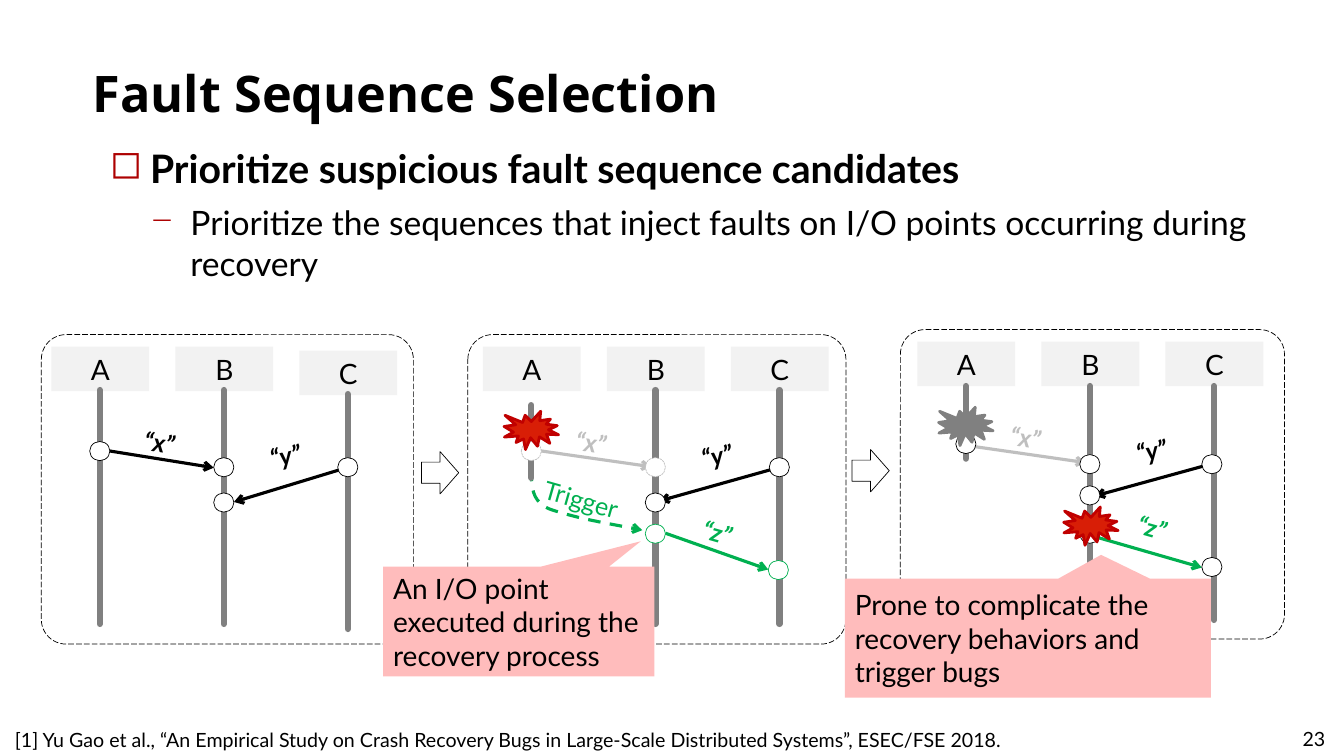
"""Build the fault sequence selection slide with its three message diagrams."""
from dataclasses import dataclass
from typing import NamedTuple, Optional

from lxml import etree
from pptx import Presentation
from pptx import util as u
from pptx.dml.color import RGBColor
from pptx.enum import dml, shapes, text
from pptx.oxml import ns


@dataclass(frozen=True)
class Theme:
    black: str = "000000"
    white: str = "FFFFFF"
    header: str = "F2F2F2"
    lane: str = "808080"
    faded: str = "BFBFBF"
    green: str = "00B050"
    bullet: str = "AD0101"
    callout: str = "FFBCBC"
    crash: str = "D81E06"
    crash_edge: str = "C00000"
    title_font: str = "Open Sans"
    font: str = "Lato"
    title: int = 36
    heading: int = 28
    body: int = 24
    diagram: int = 20
    label: int = 18
    note: int = 14


THEME = Theme()
KIND = shapes.MSO_SHAPE
DASH = dml.MSO_LINE
LANE_GAP = 1.23
Point = tuple[float, float]


class Box(NamedTuple):
    left: float
    top: float
    width: float
    height: float


class Lane(NamedTuple):
    name: str
    start: float
    end: float
    shift: float = 0


class Message(NamedTuple):
    name: str
    start: Point
    end: Point
    label: Point
    angle: int
    color: str = THEME.black


class Event(NamedTuple):
    x: float
    y: float
    color: str = THEME.black
    dash: Optional[DASH] = None


class Crash(NamedTuple):
    x: float
    y: float
    fill: str = THEME.crash
    edge: str = THEME.crash_edge


@dataclass(frozen=True)
class Panel:
    """One diagram whose parts are placed relative to lane A and the frame top."""
    lane_a: float
    frame: Box
    lanes: list[Lane]
    messages: list[Message]
    events: list[Event]
    crashes: list[Crash]


X_LABEL, Y_LABEL, Z_LABEL = (0.34, 0.87), (1.59, 1.0), (1.6, 1.77)
PANELS = [
    Panel(0.99, Box(0.41, 3.32, 3.69, 3.07),
          [Lane("A", 0.55, 2.87), Lane("B", 0.55, 2.87), Lane("C", 0.59, 2.92, 0.04)],
          [Message("“x”", (0.01, 1.14), (1.13, 1.32), X_LABEL, 8),
           Message("“y”", (2.48, 1.31), (1.33, 1.66), Y_LABEL, -12)],
          [Event(0, 1.15), Event(1.23, 1.31), Event(2.46, 1.31), Event(1.23, 1.66)], []),
    Panel(5.27, Box(4.64, 3.32, 3.75, 3.07),
          [Lane("A", 0.7, 1.42), Lane("B", 0.55, 2.87), Lane("C", 0.55, 2.87)],
          [Message("“x”", (0, 1.14), (1.19, 1.31), X_LABEL, 8, THEME.faded),
           Message("“y”", (2.48, 1.31), (1.27, 1.65), Y_LABEL, -12),
           Message("“z”", (1.33, 1.97), (2.35, 2.33), Z_LABEL, 16, THEME.green)],
          [Event(0, 1.15, THEME.faded, DASH.SQUARE_DOT),
           Event(1.23, 1.31, THEME.faded, DASH.SQUARE_DOT),
           Event(1.23, 1.66), Event(2.46, 1.31),
           Event(1.23, 1.97, THEME.green), Event(2.45, 2.33, THEME.green)],
          [Crash(0, 0.95)]),
    Panel(9.58, Box(8.93, 3.27, 3.81, 3.07),
          [Lane("A", 0.56, 1.28), Lane("B", 0.56, 2.88), Lane("C", 0.56, 2.88)],
          [Message("“x”", (0.01, 1.15), (1.19, 1.32), X_LABEL, 8, THEME.faded),
           Message("“y”", (2.48, 1.32), (1.28, 1.65), Y_LABEL, -12),
           Message("“z”", (1.23, 2.04), (2.34, 2.36), Z_LABEL, 16, THEME.green)],
          [Event(0, 1.13), Event(1.23, 1.33), Event(1.23, 1.64), Event(2.44, 1.33),
           Event(2.44, 2.35), Event(1.23, 2.02)],
          [Crash(0, 0.96, THEME.lane, THEME.lane), Crash(1.24, 1.95)]),
]
TRIGGER_CURVE = [
    ((5.27, 4.65), (5.27, 4.71), (5.26, 4.87), (5.33, 4.96)),
    ((5.33, 4.96), (5.41, 5.05), (5.44, 5.05), (5.65, 5.11)),
    ((5.65, 5.11), (5.86, 5.17), (6.24, 5.23), (6.37, 5.26)),
]


def emu(box: Box) -> list[int]:
    return [u.Inches(length) for length in box]


def style_line(shape, color: str, width: float, dash=None, arrow: bool = False) -> None:
    shape.line.color.rgb = RGBColor.from_string(color)
    shape.line.width = u.Pt(width)
    if dash is not None:
        shape.line.dash_style = dash
    if arrow:
        line = shape._element.spPr.find(ns.qn("a:ln"))
        etree.SubElement(line, ns.qn("a:tailEnd"), type="arrow")


def format_text(paragraph, size: int, color=THEME.black, bold=False, italic=False,
                font=THEME.font) -> None:
    for run in paragraph.runs:
        run.font.name, run.font.size = font, u.Pt(size)
        run.font.bold, run.font.italic = bold, italic
        run.font.color.rgb = RGBColor.from_string(color)


def add_shape(slide, kind, box: Box, fill: Optional[str] = None,
              line: Optional[str] = None, width: float = 0.5, dash=None):
    shape = slide.shapes.add_shape(kind, *emu(box))
    shape.shadow.inherit = False
    if fill:
        shape.fill.solid()
        shape.fill.fore_color.rgb = RGBColor.from_string(fill)
    else:
        shape.fill.background()
    if line:
        style_line(shape, line, width, dash)
    else:
        shape.line.fill.background()
    return shape


def add_line(slide, start: Point, end: Point, color: str, width: float, arrow=False) -> None:
    ends = [u.Inches(value) for value in (*start, *end)]
    connector = slide.shapes.add_connector(shapes.MSO_CONNECTOR.STRAIGHT, *ends)
    style_line(connector, color, width, arrow=arrow)
    if not arrow:
        connector._element.spPr.find(ns.qn("a:ln")).set("cap", "rnd")
    etree.SubElement(connector._element.spPr, ns.qn("a:effectLst"))


def add_text(slide, box: Box, words: str, size: int, wrap=True, angle=0, **style):
    shape = slide.shapes.add_textbox(*emu(box))
    shape.rotation = angle
    shape.text_frame.word_wrap = wrap
    shape.text_frame.text = words
    for paragraph in shape.text_frame.paragraphs:
        format_text(paragraph, size, **style)
    return shape


def add_callout(slide, box: Box, tip: Point, words: str) -> None:
    shape = add_shape(slide, KIND.RECTANGULAR_CALLOUT, box, THEME.callout)
    shape.adjustments[0], shape.adjustments[1] = tip
    shape.text_frame.vertical_anchor = text.MSO_ANCHOR.MIDDLE
    shape.text_frame.text = words
    paragraph = shape.text_frame.paragraphs[0]
    paragraph.alignment = text.PP_ALIGN.LEFT
    format_text(paragraph, THEME.diagram)


def add_bullet(paragraph, symbol: str, margin: float, percent: int) -> None:
    properties = paragraph._p.get_or_add_pPr()
    properties.set("marL", str(u.Inches(margin)))
    properties.set("indent", str(u.Inches(-0.4)))
    color = etree.SubElement(properties, ns.qn("a:buClr"))
    etree.SubElement(color, ns.qn("a:srgbClr"), val=THEME.bullet)
    etree.SubElement(properties, ns.qn("a:buSzPct"), val=str(percent * 1000))
    etree.SubElement(properties, ns.qn("a:buChar"), char=symbol)


def add_panel(slide, panel: Panel) -> None:
    left, top = panel.lane_a, panel.frame.top
    for index, lane in enumerate(panel.lanes):
        x = left + index * LANE_GAP
        header = add_shape(slide, KIND.RECTANGLE,
                           Box(x - 0.48, top + 0.12 + lane.shift, 0.97, 0.44), THEME.header)
        header.text_frame.text = lane.name
        header.text_frame.paragraphs[0].alignment = text.PP_ALIGN.CENTER
        format_text(header.text_frame.paragraphs[0], THEME.diagram)
        add_line(slide, (x, top + lane.start), (x, top + lane.end), THEME.lane, 4.5)
    frame = add_shape(slide, KIND.ROUNDED_RECTANGLE, panel.frame, None, THEME.black,
                      dash=DASH.LONG_DASH)
    frame.adjustments[0] = 0.08
    for message in panel.messages:
        start, end, label = ((left + x, top + y)
                             for x, y in (message.start, message.end, message.label))
        add_line(slide, start, end, message.color, 2.25, arrow=True)
        add_text(slide, Box(*label, 0.51, 0.4), message.name, THEME.label, wrap=False,
                 angle=message.angle, color=message.color, bold=True, italic=True)
    for event in panel.events:
        add_shape(slide, KIND.OVAL, Box(left + event.x - 0.1, top + event.y - 0.09, 0.2, 0.19),
                  THEME.white, event.color, dash=event.dash)
    for crash in panel.crashes:
        add_shape(slide, KIND.EXPLOSION1, Box(left + crash.x - 0.27, top + crash.y - 0.19,
                                              0.54, 0.38), crash.fill, crash.edge, 2)


def add_trigger(slide) -> None:
    points = []
    for curve in TRIGGER_CURVE:
        for step in range(1, 9):
            t = step / 8
            weights = ((1 - t) ** 3, 3 * t * (1 - t) ** 2, 3 * t * t * (1 - t), t ** 3)
            points.append([u.Inches(sum(w * p[axis] for w, p in zip(weights, curve)))
                           for axis in (0, 1)])
    start = [u.Inches(value) for value in TRIGGER_CURVE[0][0]]
    builder = slide.shapes.build_freeform(*start)
    builder.add_line_segments(points, close=False)
    shape = builder.convert_to_shape()
    shape.shadow.inherit = False
    shape.fill.background()
    style_line(shape, THEME.green, 2.25, DASH.DASH, arrow=True)
    add_text(slide, Box(5.29, 4.76, 0.99, 0.4), "Trigger", THEME.label, wrap=False,
             angle=16, color=THEME.green)


def add_headings(slide) -> None:
    title = slide.shapes.title
    title.left, title.top, title.width, title.height = emu(Box(0.82, 0.34, 11.84, 0.93))
    title.text_frame.text = "Fault Sequence Selection"
    title.text_frame.vertical_anchor = text.MSO_ANCHOR.BOTTOM
    paragraph = title.text_frame.paragraphs[0]
    paragraph.alignment = text.PP_ALIGN.LEFT
    paragraph.line_spacing = u.Pt(46.7)
    format_text(paragraph, THEME.title, bold=True, font=THEME.title_font)
    body = add_text(slide, Box(0.99, 1.38, 12.15, 1.49),
                    "Prioritize suspicious fault sequence candidates", THEME.heading, bold=True)
    add_bullet(body.text_frame.paragraphs[0], "◻", 0.4, 100)
    detail = body.text_frame.add_paragraph()
    detail.text = ("Prioritize the sequences that inject faults on I/O points "
                   "occurring during recovery")
    detail.level = 1
    add_bullet(detail, "−", 0.8, 90)
    detail.space_before = u.Pt(8)
    format_text(detail, THEME.body)


def main() -> None:
    presentation = Presentation()
    presentation.slide_width, presentation.slide_height = u.Inches(13.33), u.Inches(7.5)
    slide = presentation.slides.add_slide(presentation.slide_layouts[5])
    add_headings(slide)
    add_trigger(slide)
    for panel in PANELS:
        add_panel(slide, panel)
    for left, top in ((4.18, 4.48), (8.45, 4.46)):
        add_shape(slide, KIND.RIGHT_ARROW, Box(left, top, 0.37, 0.42), THEME.white, THEME.black)
    add_callout(slide, Box(8.38, 5.74, 3.63, 1.18), (0.2, -0.7),
                "Prone to complicate the recovery behaviors and trigger bugs")
    add_callout(slide, Box(3.8, 5.62, 2.69, 1.09), (0.45, -0.73),
                "An I/O point executed during the recovery process")
    note = add_text(slide, Box(0.05, 7.11, 12.83, 0.36),
                    "[1] Yu Gao et al., “An Empirical Study on Crash Recovery Bugs in "
                    "Large-Scale Distributed Systems”, ESEC/FSE 2018.", THEME.note)
    note.text_frame.paragraphs[0].line_spacing = 1.25
    add_text(slide, Box(12.82, 7.16, 0.48, 0.34), "23", THEME.note)
    presentation.save("out.pptx")


if __name__ == "__main__":
    main()
